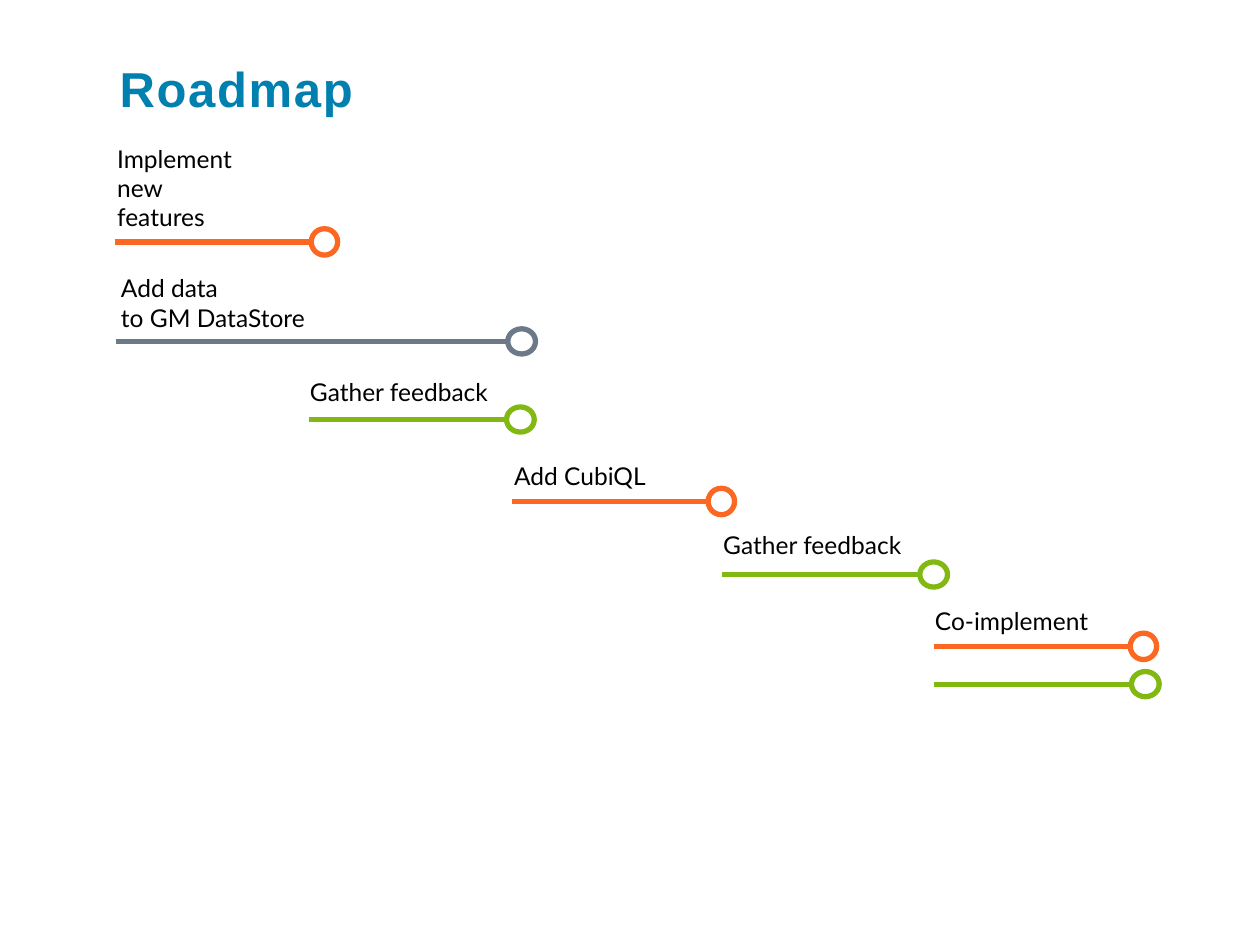
from pptx import Presentation
from pptx.dml.color import RGBColor
from pptx.enum.shapes import MSO_CONNECTOR, MSO_SHAPE
from pptx.enum.text import MSO_ANCHOR, MSO_AUTO_SIZE
from pptx.oxml.ns import qn
from pptx.util import Inches, Pt
from lxml import etree

STRAIGHT = MSO_CONNECTOR.STRAIGHT
OVAL = MSO_SHAPE.OVAL
TOP, MIDDLE = MSO_ANCHOR.TOP, MSO_ANCHOR.MIDDLE
NO_FIT, GROW = MSO_AUTO_SIZE.NONE, MSO_AUTO_SIZE.SHAPE_TO_FIT_TEXT

BLUE = RGBColor(0x00, 0x80, 0xAF)
BLACK = RGBColor(0x00, 0x00, 0x00)
ORANGE = RGBColor(0xFC, 0x67, 0x21)
GREEN = RGBColor(0x81, 0xB8, 0x11)
GREY = RGBColor(0x6B, 0x79, 0x88)

TITLE_FONT = {"name": "Arial", "size": Pt(28), "bold": True}
LABEL_FONT = {"name": "Lato", "size": Pt(14), "bold": False}
INSET = Inches(0.05)
RING_SIZES = {ORANGE: (0.21, 0.21), GREEN: (0.22, 0.2), GREY: (0.22, 0.2)}

LABELS = [
    (["Implement", "new", "features"], (0.88, 1.09, 1.14, 0.76)),
    (["Add data", "to GM DataStore"], (0.91, 2.12, 1.58, 0.54)),
    (["Gather feedback"], (2.41, 2.94, 1.57, 0.32)),
    (["Add CubiQL"], (4.03, 3.61, 1.19, 0.32)),
    (["Gather feedback"], (5.69, 4.16, 1.57, 0.32)),
    (["Co-implement"], (7.37, 4.76, 1.35, 0.32)),
]
BARS = [
    (ORANGE, 0.91, 1.92, 1.56),
    (GREY, 0.92, 2.71, 3.11),
    (GREEN, 2.45, 3.33, 1.57),
    (ORANGE, 4.06, 3.98, 1.56),
    (GREEN, 5.73, 4.56, 1.57),
    (ORANGE, 7.41, 5.13, 1.56),
    (GREEN, 7.41, 5.43, 1.57),
]


def add_text(page, lines, box, font, color, wrap=False, anchor=TOP, fit=GROW):
    frame = page.shapes.add_textbox(*map(Inches, box)).text_frame
    settings = {"word_wrap": wrap, "vertical_anchor": anchor, "auto_size": fit}
    for side in ("left", "top", "right", "bottom"):
        settings[f"margin_{side}"] = INSET
    for name, value in settings.items():
        setattr(frame, name, value)
    frame.text = "\n".join(lines)
    for para in frame.paragraphs:
        for span in para.runs:
            for name, value in font.items():
                setattr(span.font, name, value)
            span.font.color.rgb = color
    return frame


def add_title(page, text, box):
    frame = add_text(page, [text], box, TITLE_FONT, BLUE, True, MIDDLE, NO_FIT)
    span = frame.paragraphs[0].runs[0]
    span.font._element.set("spc", "100")


def add_bar(page, color, left, middle, length):
    ring_left = left + length
    width, height = RING_SIZES[color]
    ends = (left, middle, ring_left, middle)
    bar = page.shapes.add_connector(STRAIGHT, *map(Inches, ends))
    etree.SubElement(bar._element.spPr, qn("a:effectLst"))
    box = (ring_left, middle - height / 2, width, height)
    ring = page.shapes.add_shape(OVAL, *map(Inches, box))
    ring.shadow.inherit = False
    ring.fill.background()
    for shape in (bar, ring):
        shape.line.color.rgb = color
        shape.line.width = Pt(3)


def add_roadmap(page):
    for bar in BARS:
        add_bar(page, *bar)
    for lines, box in LABELS:
        add_text(page, lines, box, LABEL_FONT, BLACK)


def main():
    deck = Presentation()
    deck.slide_width, deck.slide_height = Inches(10), Inches(7.5)
    page = deck.slides.add_slide(deck.slide_layouts[6])
    add_title(page, "Roadmap", (0.9, 0.4, 8.23, 0.6))
    add_roadmap(page)
    deck.save("out.pptx")


if __name__ == "__main__":
    main()
